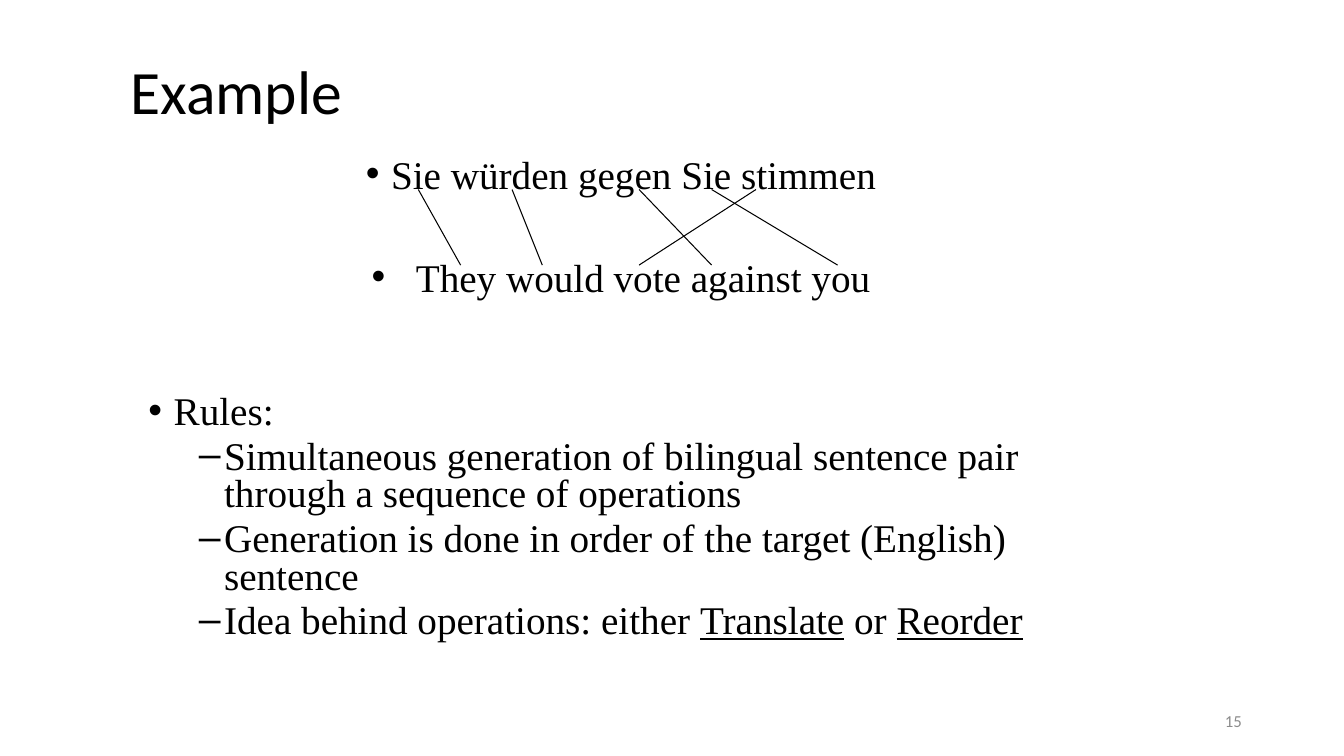
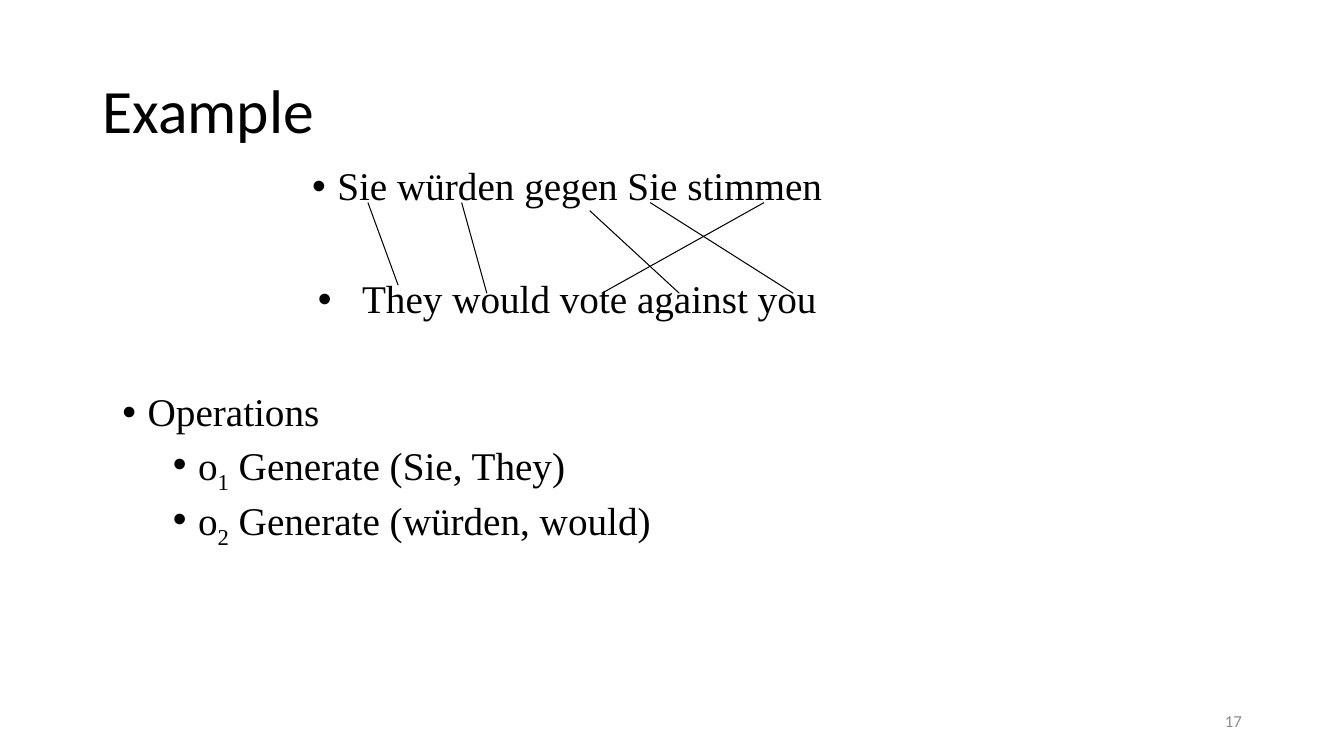
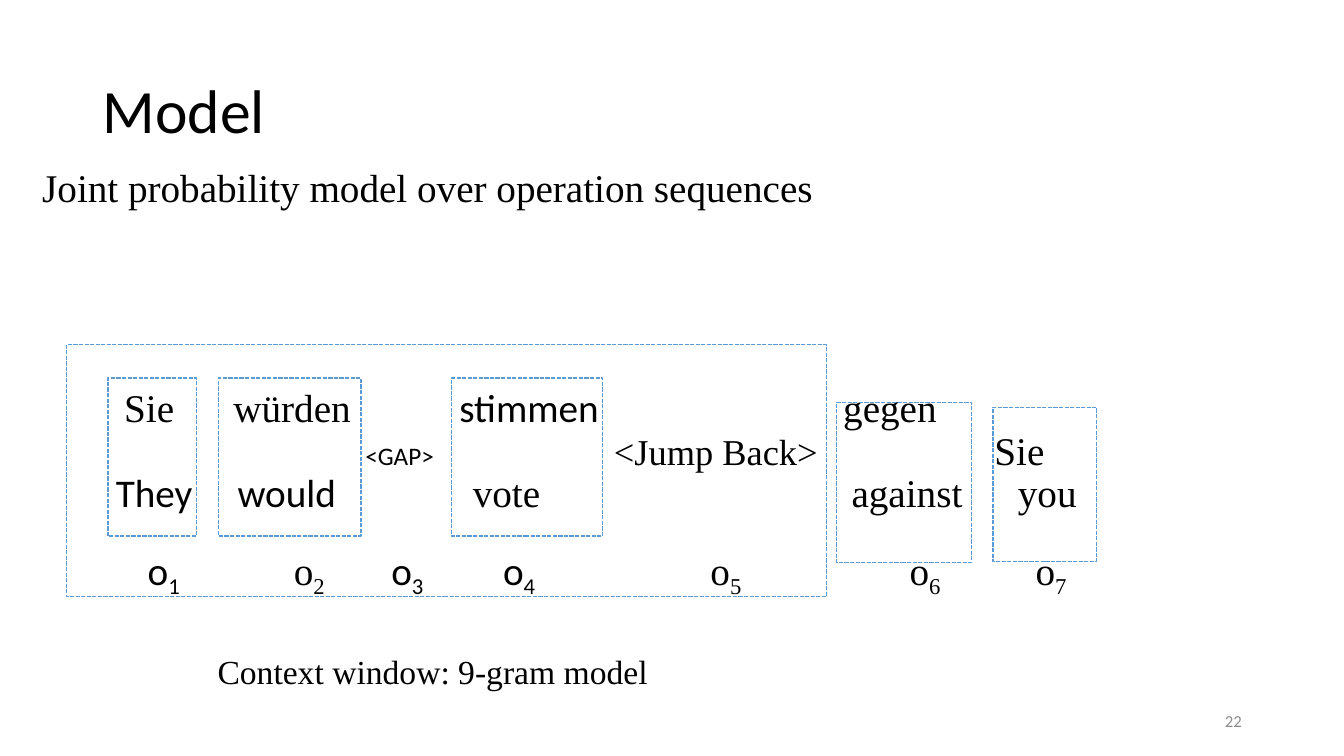
"""Build three slides on generating a bilingual sentence pair by operations."""
import dataclasses

import lxml.etree
import pptx
import pptx.dml.color
import pptx.enum.dml
import pptx.enum.shapes
import pptx.enum.text
import pptx.oxml.ns
import pptx.util


@dataclasses.dataclass(frozen=True)
class Theme:
    ink: str = "000000"
    muted: str = "8C8C8C"
    accent: str = "5B9BD5"
    sans: str = "Calibri"
    serif: str = "Times New Roman"
    title: int = 44
    body: int = 28
    jump: int = 26
    caption: int = 24
    gap: int = 18
    number: int = 12
    thin: float = 0.75
    dashed: float = 1


theme = Theme()
top = pptx.enum.text.MSO_ANCHOR.TOP
middle = pptx.enum.text.MSO_ANCHOR.MIDDLE
center = pptx.enum.text.PP_ALIGN.CENTER
left = pptx.enum.text.PP_ALIGN.LEFT
right = pptx.enum.text.PP_ALIGN.RIGHT

presentation = pptx.Presentation()
presentation.slide_width = pptx.util.Inches(40 / 3)
presentation.slide_height = pptx.util.Inches(7.5)
column = presentation.slide_width / 160
row = presentation.slide_height / 90


def add_text_box(slide, area, anchor):
    x, y, width, height = area
    shape = slide.shapes.add_textbox(
        int(x * column), int(y * row), int(width * column), int(height * row))
    frame = shape.text_frame
    frame.word_wrap = True
    frame.vertical_anchor = anchor
    return frame


def add_run(paragraph, text, size, font=theme.serif, color=theme.ink, mark=""):
    run = paragraph.add_run()
    run.text = text
    run.font.size = pptx.util.Pt(size)
    run.font.name = font
    run.font.color.rgb = pptx.dml.color.RGBColor.from_string(color)
    if mark == "underline":
        run.font.underline = True
    if mark == "subscript":
        run.font._element.set("baseline", "-25000")


low_title = (11.04, 4.8, 138, 17.4)
headers = [
    ("Example", (14.35, 6.24, 134.6, 9.96), "15"),
    ("Example", low_title, "17"),
    ("Model", low_title, "22"),
]
for title, area, number in headers:
    slide = presentation.slides.add_slide(presentation.slide_layouts[6])
    paragraph = add_text_box(slide, area, middle).paragraphs[0]
    paragraph.line_spacing = 0.9
    add_run(paragraph, title, theme.title, theme.sans)
    paragraph = add_text_box(slide, (113.04, 83.4, 36, 4.8), middle).paragraphs[0]
    paragraph.alignment = right
    add_run(paragraph, number, theme.number, theme.sans, theme.muted)

rules_slide, operations_slide, model_slide = presentation.slides

german = [("Sie würden gegen Sie stimmen", "")]
english = [("They would vote against you", "")]
rules = [
    [("Simultaneous generation of bilingual sentence pair through a sequence of operations", "")],
    [("Generation is done in order of the target (English) sentence", "")],
    [("Idea behind operations: either ", ""), ("Translate", "underline"),
     (" or ", ""), ("Reorder", "underline")],
]
operations = [
    [("o", ""), (index, "subscript"), (f" Generate ({pair})", "")]
    for index, pair in [("1", "Sie, They"), ("2", "würden, would")]
]
bodies = [
    (rules_slide, (16.5, 18.36, 114.84, 59.88), 0.8, 46.5, 68.5, "Rules:", rules, "–"),
    (operations_slide, (13.4, 19.25, 108.24, 61.44), 0.9, 50.5, 50.5,
     "Operations", operations, "•"),
]
for slide, area, spacing, english_gap, list_gap, heading, items, bullet in bodies:
    frame = add_text_box(slide, area, top)
    lines = [
        (german, center, 10, 0.25, 0.25, "•"),
        (english, center, english_gap, 0.44, 0.44, "•"),
        ([(heading, "")], left, list_gap, 0.25, 0.25, "•"),
    ] + [(item, left, 5, 0.75, 0.25, bullet) for item in items]
    for position, (runs, alignment, before, margin, hanging, mark) in enumerate(lines):
        paragraph = frame.add_paragraph() if position else frame.paragraphs[0]
        paragraph.alignment = alignment
        paragraph.line_spacing = spacing
        paragraph.space_before = pptx.util.Pt(before)
        properties = paragraph._p.get_or_add_pPr()
        properties.set("marL", str(pptx.util.Inches(margin)))
        properties.set("indent", str(-pptx.util.Inches(hanging)))
        for tag, name, value in [("a:buFont", "typeface", "Arial"), ("a:buChar", "char", mark)]:
            lxml.etree.SubElement(properties, pptx.oxml.ns.qn(tag)).set(name, value)
        for text, style in runs:
            add_run(paragraph, text, theme.body, mark=style)

alignments = [
    (rules_slide, [
        (49.8, 22.56, 54.84, 31.56), (60.96, 22.56, 64.56, 31.56),
        (76.08, 22.56, 84.72, 31.56), (84.72, 22.56, 99.72, 31.56),
        (90, 22.56, 76.08, 31.56)]),
    (operations_slide, [
        (43.8, 24.12, 47.4, 33.96), (54.96, 24.12, 57.96, 34.92),
        (70.2, 25.08, 80.88, 34.92), (77.4, 24.12, 94.44, 34.92),
        (90.96, 24.12, 71.64, 34.92)]),
]
for slide, links in alignments:
    for x1, y1, x2, y2 in links:
        connector = slide.shapes.add_connector(
            pptx.enum.shapes.MSO_CONNECTOR.STRAIGHT,
            int(x1 * column), int(y1 * row), int(x2 * column), int(y2 * row))
        connector.line.width = pptx.util.Pt(theme.thin)
        connector.line.color.rgb = pptx.dml.color.RGBColor.from_string(theme.ink)
        lxml.etree.SubElement(connector._element.spPr, pptx.oxml.ns.qn("a:effectLst"))

model_area = (3.84, 20.88, 138.6, 59.28)
text_start = model_area[0] + 1.2
frame = add_text_box(model_slide, model_area, top)
paragraph = frame.paragraphs[0]
paragraph.line_spacing = 0.6
paragraph.space_before = pptx.util.Pt(10)
add_run(paragraph, "Joint probability model over operation sequences", theme.body)

operation_marks = [
    (17.6, theme.sans), (35, theme.serif), (46.6, theme.sans), (59.9, theme.sans),
    (84.6, theme.serif), (108.3, theme.serif), (123.3, theme.serif),
]
word_rows = [
    (137, [
        (14.8, "Sie", theme.body, theme.serif, ""),
        (27.8, "würden", theme.body, theme.serif, ""),
        (54.7, "stimmen", theme.body, theme.sans, ""),
        (100.4, "gegen", theme.body, theme.serif, "")]),
    (10, [
        (43.5, "<GAP>", theme.gap, theme.sans, ""),
        (73.1, "<Jump Back>", theme.jump, theme.serif, ""),
        (118.4, "Sie", theme.body, theme.serif, "")]),
    (10, [
        (13.8, "They", theme.body, theme.sans, ""),
        (28.3, "would", theme.body, theme.sans, ""),
        (56.3, "vote", theme.body, theme.serif, ""),
        (101.4, "against", theme.body, theme.serif, ""),
        (121.2, "you", theme.body, theme.serif, "")]),
    (33, [
        (x, "o", theme.body, font, str(index))
        for index, (x, font) in enumerate(operation_marks, start=1)]),
]
for before, words in word_rows:
    paragraph = frame.add_paragraph()
    paragraph.line_spacing = 0.6
    paragraph.space_before = pptx.util.Pt(before)
    tabs = lxml.etree.SubElement(paragraph._p.get_or_add_pPr(), pptx.oxml.ns.qn("a:tabLst"))
    for x, text, size, font, index in words:
        tab = lxml.etree.SubElement(tabs, pptx.oxml.ns.qn("a:tab"))
        tab.set("pos", str(int((x - text_start) * column)))
        tab.set("algn", "l")
        add_run(paragraph, "\t" + text, size, font)
        if index:
            add_run(paragraph, index, size, font, mark="subscript")

frames = [
    (7.92, 41.04, 90.48, 30),
    (12.84, 45, 10.56, 18.84),
    (118.2, 48.48, 12.36, 18.36),
    (99.6, 47.88, 16.08, 19.08),
    (26.04, 45, 16.92, 18.84),
    (53.76, 45, 18, 18.84),
]
for x, y, width, height in frames:
    shape = model_slide.shapes.add_shape(
        pptx.enum.shapes.MSO_SHAPE.RECTANGLE,
        int(x * column), int(y * row), int(width * column), int(height * row))
    shape.shadow.inherit = False
    shape.fill.background()
    shape.line.width = pptx.util.Pt(theme.dashed)
    shape.line.color.rgb = pptx.dml.color.RGBColor.from_string(theme.accent)
    shape.line.dash_style = pptx.enum.dml.MSO_LINE.SQUARE_DOT

paragraph = add_text_box(model_slide, (24.72, 76.86, 57.36, 6), middle).paragraphs[0]
add_run(paragraph, "Context window: 9-gram model", theme.caption)

presentation.save("out.pptx")
